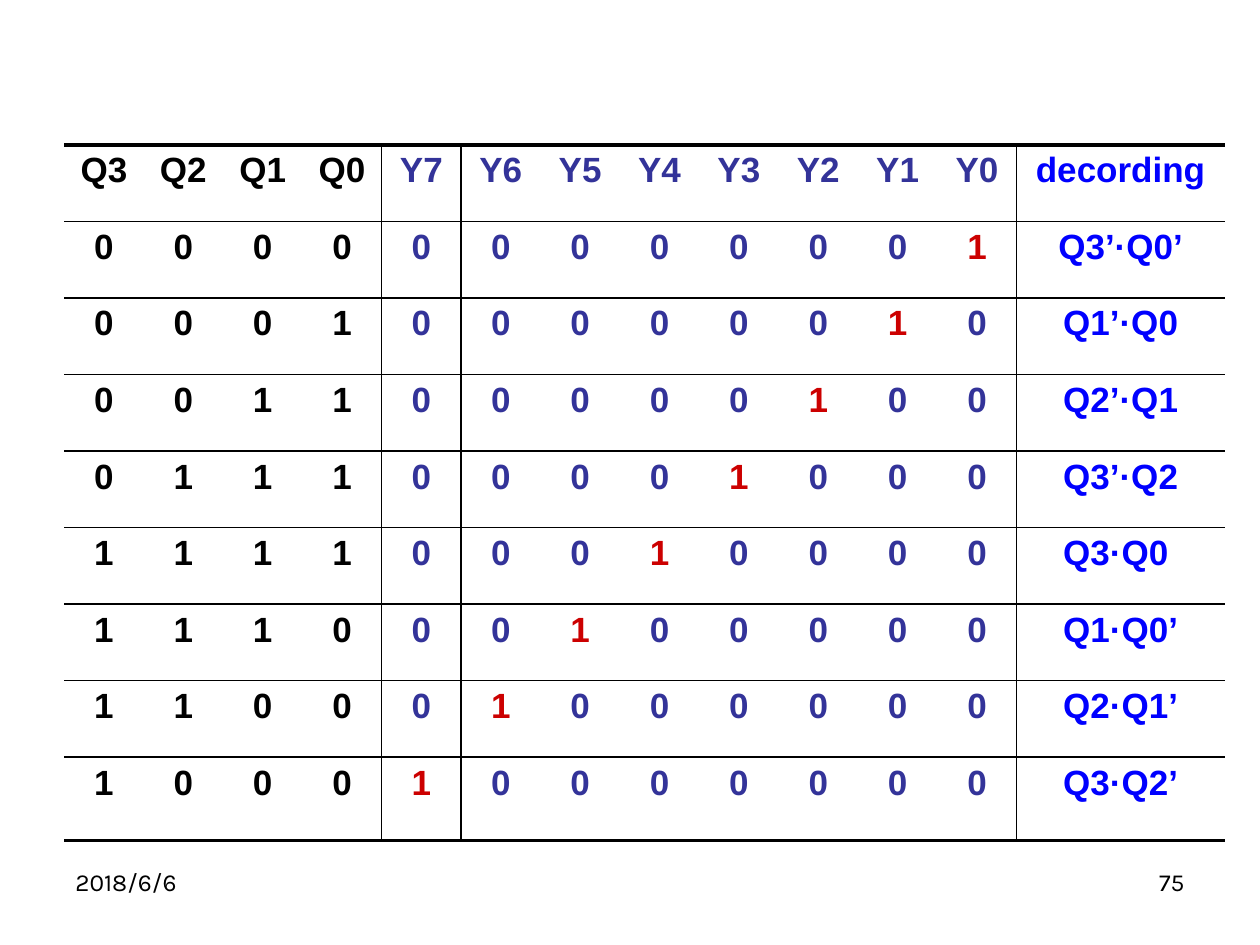
from lxml.etree import SubElement
from pptx import Presentation
from pptx.dml.color import RGBColor
from pptx.enum.text import MSO_ANCHOR as Anchor, PP_ALIGN as Align
from pptx.oxml.ns import qn
from pptx.util import Inches, Pt

BLACK = RGBColor(0x00, 0x00, 0x00)
NAVY = RGBColor(0x33, 0x33, 0x99)
BLUE = RGBColor(0x00, 0x00, 0xFF)
RED = RGBColor(0xCC, 0x00, 0x00)
PLAIN = "{2D5ABB26-0587-4C30-8999-92F81FD0307C}"
HEAD = {"name": "Arial", "size": Pt(20), "bold": True}
FOOT = {"name": "Karla", "size": Pt(14)}


def put(frame, text, align, color, form):
    para = frame.paragraphs[0]
    para.alignment = align
    run = para.add_run()
    run.text = text
    for key, value in form.items():
        setattr(run.font, key, value)
    run.font.color.rgb = color


def rule(cell, side, width):
    line = SubElement(cell._tc.get_or_add_tcPr(), qn("a:ln" + side), w=str(Pt(width)))
    fill = SubElement(line, qn("a:solidFill"))
    SubElement(fill, qn("a:srgbClr"), val=str(BLACK))


deck = Presentation()
deck.slide_width = Inches(10)
deck.slide_height = Inches(7.5)
slide = deck.slides.add_slide(deck.slide_layouts[6])

for left, text, align in [(0.5, "2018/6/6", Align.LEFT), (7.17, "75", Align.RIGHT)]:
    box = slide.shapes.add_textbox(Inches(left), Inches(6.83), Inches(2.33), Inches(0.52))
    box.text_frame.word_wrap = True
    put(box.text_frame, text, align, BLACK, FOOT)

states = ["0000", "0001", "0011", "0111", "1111", "1110", "1100", "1000"]
terms = ["Q3’·Q0’", "Q1’·Q0", "Q2’·Q1", "Q3’·Q2", "Q3·Q0 ", "Q1·Q0’", "Q2·Q1’", "Q3·Q2’"]
rows = [[f"Q{n}" for n in range(3, -1, -1)] + [f"Y{n}" for n in range(7, -1, -1)] + ["decording"]]
for step, (state, term) in enumerate(zip(states, terms)):
    rows.append([*state, *format(1 << step, "08b"), term])

last = len(rows) - 1
end = len(rows[0]) - 1
frame = slide.shapes.add_table(
    len(rows), len(rows[0]), Inches(0.51), Inches(1.15), Inches(9.21), Inches(5.52)
)
table = frame.table
table.first_row = False
table.horz_banding = False
table._tbl.tblPr.find(qn("a:tableStyleId")).text = PLAIN
for c, col in enumerate(table.columns):
    col.width = Inches(1.65 if c == end else 0.63)
for r, row in enumerate(table.rows):
    row.height = Inches(0.66) if r == last else Inches((5.52 - 0.66) / last)

for r, row in enumerate(rows):
    for c, text in enumerate(row):
        cell = table.cell(r, c)
        if c in (4, end):
            rule(cell, "L", 1)
        if c in (3, end - 1):
            rule(cell, "R", 1)
        rule(cell, "T", 2.25 if r == 0 else 1)
        rule(cell, "B", 2.25 if r == last else 1)
        cell.fill.background()
        cell.vertical_anchor = Anchor.TOP
        color = BLACK if c < 4 else BLUE if c == end else RED if text == "1" else NAVY
        put(cell.text_frame, text, Align.CENTER, color, HEAD)

deck.save("out.pptx")
